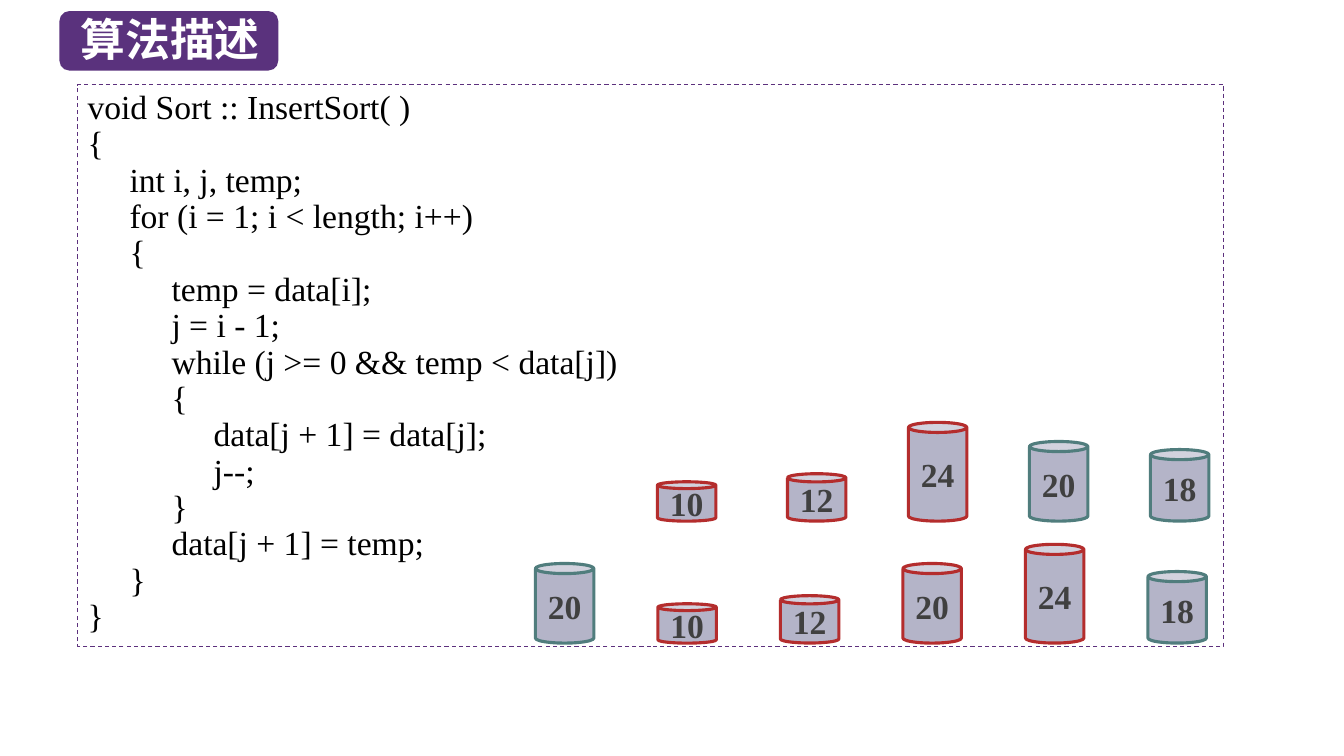
from pptx import Presentation
from pptx.dml.color import RGBColor
from pptx.enum.dml import MSO_LINE
from pptx.enum.shapes import MSO_SHAPE as SHAPE
from pptx.enum.text import MSO_ANCHOR as ANCHOR, MSO_AUTO_SIZE as AUTO, PP_ALIGN as ALIGN
from pptx.oxml.ns import qn
from pptx.util import Inches, Pt

CJK, SERIF = "Noto Sans CJK SC", "Times New Roman"
PURPLE, RED, TEAL = "5A327D", "B42D2D", "507D7D"
CODE = [
    (0, "void Sort :: InsertSort( )"),
    (0, "{"),
    (1, "int i, j, temp;"),
    (1, "for (i = 1; i < length; i++)"),
    (1, "{"),
    (2, "temp = data[i];"),
    (2, "j = i - 1;"),
    (2, "while (j >= 0 && temp < data[j])"),
    (2, "{"),
    (3, "data[j + 1] = data[j];"),
    (3, "j--;"),
    (2, "}"),
    (2, "data[j + 1] = temp;"),
    (1, "}"),
    (0, "}"),
]
CAN_WIDTH = 0.58
CAN_HEIGHTS = {10: 0.39, 12: 0.47, 18: 0.71, 20: 0.79, 24: 0.98}
BEFORE = [(6.52, 10, RED), (7.81, 12, RED), (9.01, 24, RED),
          (10.21, 20, TEAL), (11.41, 18, TEAL)]
AFTER = [(20, TEAL), (10, RED), (12, RED), (20, RED), (24, RED), (18, TEAL)]
AFTER_LEFT, AFTER_STEP = 5.31, 1.215


def rgb(color):
    return RGBColor.from_string(color)


def add_box(slide, kind, left, top, width, height, fill=None, line=None, weight=1):
    sp = slide.shapes.add_shape(kind, Inches(left), Inches(top), Inches(width), Inches(height))
    sp.shadow.inherit = False
    if fill:
        sp.fill.solid()
        sp.fill.fore_color.rgb = rgb(fill)
    else:
        sp.fill.background()
    if line:
        sp.line.color.rgb = rgb(line)
        sp.line.width = Pt(weight)
    else:
        sp.line.fill.background()
    return sp


def format_run(p, size, font, color, bold=False):
    r = p.runs[0]
    r.font.size, r.font.name, r.font.bold = Pt(size), font, bold
    r.font.color.rgb = rgb(color)
    ea = r._r.get_or_add_rPr().makeelement(qn("a:ea"), {"typeface": font})
    r.font._element.find(qn("a:latin")).addnext(ea)


def add_title(slide, left, top, width, height):
    add_box(slide, SHAPE.ROUNDED_RECTANGLE, left, top, width, height, PURPLE)
    tb = slide.shapes.add_textbox(Inches(left + 0.11), Inches(top - 0.04),
                                  Inches(width - 0.07), Inches(height + 0.05))
    tf = tb.text_frame
    tf.word_wrap = True
    tf.auto_size = AUTO.SHAPE_TO_FIT_TEXT
    tf.text = "算法描述"
    format_run(tf.paragraphs[0], 32, CJK, "FFFFFF", True)


def add_code(slide, left, top, width, height):
    sp = add_box(slide, SHAPE.RECTANGLE, left, top, width, height, line="5C307D", weight=0.75)
    sp.line.dash_style = MSO_LINE.DASH
    tf = sp.text_frame
    tf.word_wrap = True
    tf.auto_size = AUTO.SHAPE_TO_FIT_TEXT
    tf.vertical_anchor = ANCHOR.TOP
    tf.text = "\n".join(text for _, text in CODE)
    for p, (level, _) in zip(tf.paragraphs, CODE):
        p.alignment = ALIGN.LEFT
        p.line_spacing = Pt(26)
        p._p.get_or_add_pPr().set("marL", str(Pt(30 * level)))
        format_run(p, 24, SERIF, "000000")


def add_can(slide, left, bottom, value, line):
    height = CAN_HEIGHTS[value]
    sp = add_box(slide, SHAPE.CAN, left, bottom - height, CAN_WIDTH, height, "B4B4C8", line, 2.25)
    sp.adjustments[0] = 0.173
    tf = sp.text_frame
    tf.word_wrap = False
    tf.vertical_anchor = ANCHOR.MIDDLE
    tf.text = str(value)
    tf.paragraphs[0].alignment = ALIGN.CENTER
    format_run(tf.paragraphs[0], 24, SERIF, "404040", True)


def add_can_row(slide, bottom, cans):
    for left, value, line in cans:
        add_can(slide, left, bottom, value, line)


def main():
    prs = Presentation()
    prs.slide_width, prs.slide_height = Inches(13.33), Inches(7.5)
    slide = prs.slides.add_slide(prs.slide_layouts[6])
    add_title(slide, 0.59, 0.11, 2.17, 0.59)
    add_code(slide, 0.77, 0.84, 11.37, 5.57)
    add_can_row(slide, 5.17, BEFORE)
    add_can_row(slide, 6.38, [(AFTER_LEFT + i * AFTER_STEP, value, line)
                              for i, (value, line) in enumerate(AFTER)])
    prs.save("out.pptx")


if __name__ == "__main__":
    main()
